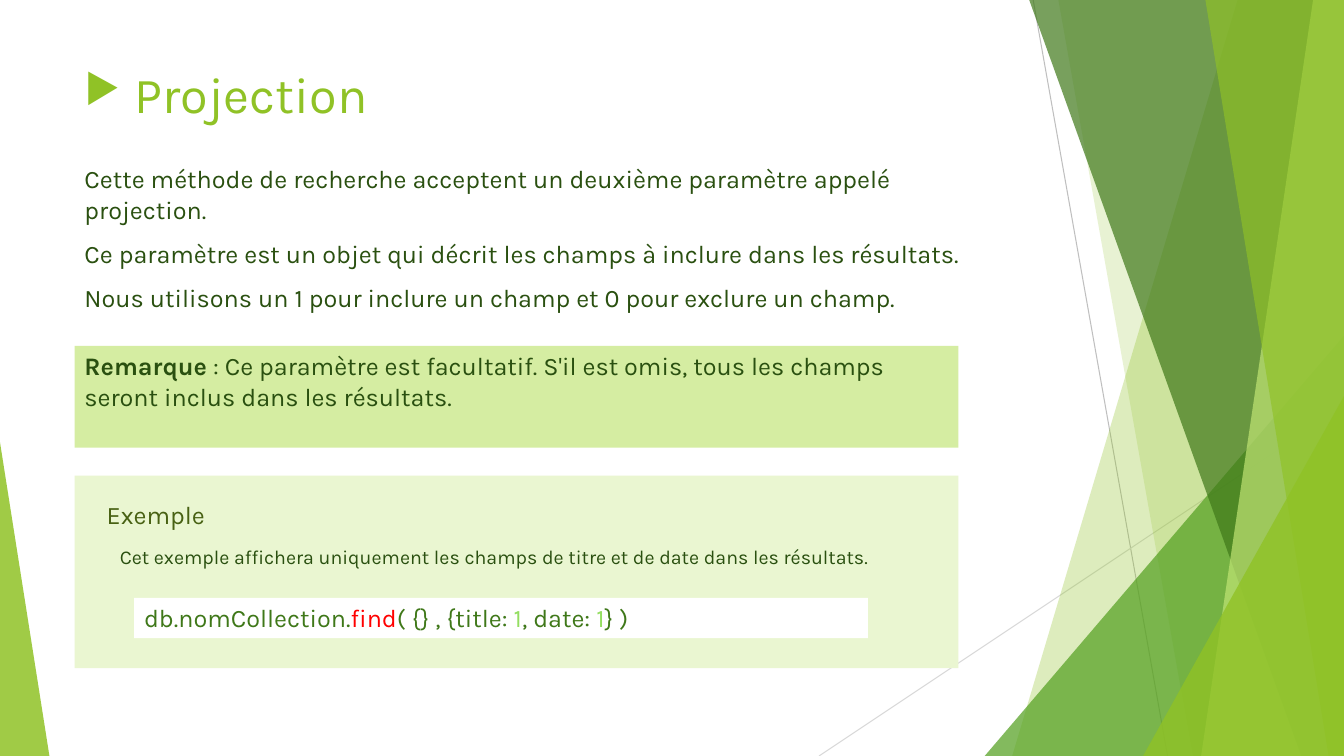
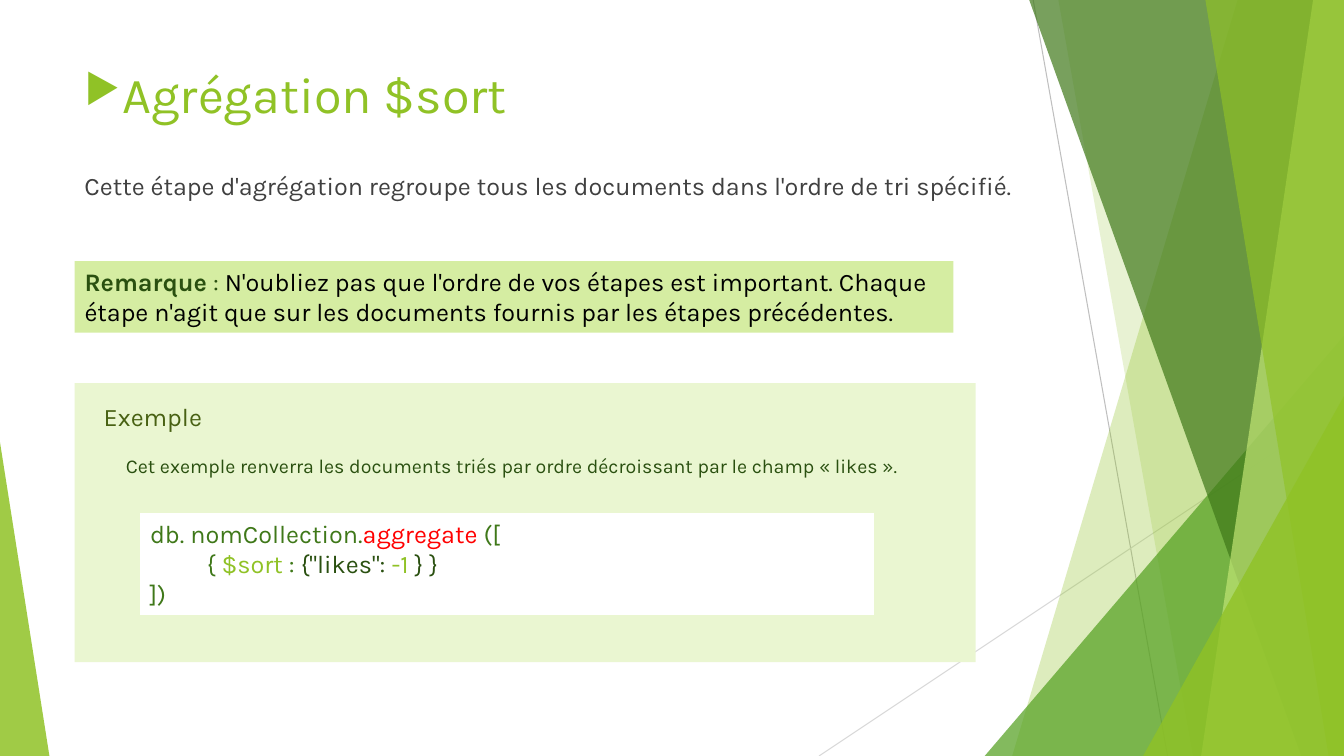
"""Build two slides on document queries: projection and the $sort stage."""
from lxml.etree import SubElement
from pptx import Presentation
from pptx.dml.color import RGBColor
from pptx.enum.shapes import MSO_CONNECTOR as Connector, MSO_SHAPE as Shape
from pptx.enum.text import MSO_ANCHOR as Anchor, MSO_AUTO_SIZE as AutoSize, PP_ALIGN as Align
from pptx.oxml.ns import qn
from pptx.util import Pt

WHITE = RGBColor(0xFF, 0xFF, 0xFF)
BLACK = RGBColor(0, 0, 0)
GREY = RGBColor(0x40, 0x40, 0x40)
RULE_GREY = RGBColor(0xBF, 0xBF, 0xBF)
RULE_LIGHT = RGBColor(0xD9, 0xD9, 0xD9)
LIME = RGBColor(0x90, 0xC2, 0x26)
PALE_LIME = RGBColor(0xC0, 0xE4, 0x74)
LEAF = RGBColor(0x54, 0xA0, 0x21)
FOREST = RGBColor(0x3F, 0x78, 0x19)
DARK = RGBColor(0x2A, 0x50, 0x10)
OLIVE = RGBColor(0x48, 0x61, 0x13)
MINT = RGBColor(0x94, 0xDE, 0x61)
RED = RGBColor(0xFF, 0, 0)
REMARK_FILL = RGBColor(0xD5, 0xED, 0xA2)
PANEL_FILL = RGBColor(0xEA, 0xF6, 0xD1)

WIDTH, HEIGHT = 960, 540
LEFT, TEXT_WIDTH = 53.3, 676.8
CODE_WIDTH = 524.2


class Deck:
    font = "Karla"
    title_size, body_size, caption_size = 36, 18, 14
    bullet_indent = 27

    def __init__(self):
        self.prs = Presentation()
        self.prs.slide_width, self.prs.slide_height = Pt(WIDTH), Pt(HEIGHT)
        self.layout = self.prs.slide_layouts[5]
        for holder in list(self.layout.placeholders):
            if holder.placeholder_format.idx:
                self.layout.shapes.element.remove(holder.element)
        self.slide = None

    def new_slide(self, title):
        self.slide = self.prs.slides.add_slide(self.layout)
        heading = self.slide.shapes.title
        heading.left, heading.top = Pt(LEFT), Pt(41.8)
        heading.width, heading.height = Pt(TEXT_WIDTH), Pt(64.8)
        self.fill_text(heading, [[(title, LIME)]], self.title_size)
        props = heading.text_frame.paragraphs[0]._p.get_or_add_pPr()
        props.set("marL", str(Pt(self.bullet_indent)))
        props.set("indent", str(-Pt(self.bullet_indent)))
        tint = SubElement(props, qn("a:buClr"))
        SubElement(tint, qn("a:srgbClr")).set("val", str(LIME))
        SubElement(props, qn("a:buSzPct")).set("val", "80000")
        SubElement(props, qn("a:buChar")).set("char", "▶")

    def share(self):
        for shape in list(self.slide.shapes):
            if not shape.is_placeholder:
                self.layout.shapes.element.append(shape.element)

    def paint(self, shape, color, opacity=100):
        shape.shadow.inherit = False
        shape.line.fill.background()
        shape.fill.solid()
        shape.fill.fore_color.rgb = color
        if opacity < 100:
            tint = shape.element.spPr.find(qn("a:solidFill"))[0]
            SubElement(tint, qn("a:alpha")).set("val", str(opacity * 1000))

    def rule(self, x1, y1, x2, y2, color):
        line = self.slide.shapes.add_connector(
            Connector.STRAIGHT, Pt(x1), Pt(y1), Pt(x2), Pt(y2))
        line.line.color.rgb = color
        line.line.width = Pt(0.75)
        SubElement(line.element.spPr, qn("a:effectLst"))

    def shard(self, top_x, bottom_x, color, opacity):
        outline = self.slide.shapes.build_freeform(Pt(top_x), Pt(0))
        corners = [(WIDTH, 0), (WIDTH, HEIGHT), (bottom_x, HEIGHT)]
        outline.add_line_segments([(Pt(x), Pt(y)) for x, y in corners])
        self.paint(outline.convert_to_shape(), color, opacity)

    def wedge(self, left, top, width, apex, color, opacity):
        corner = self.slide.shapes.add_shape(
            Shape.ISOSCELES_TRIANGLE, Pt(left), Pt(top), Pt(width), Pt(HEIGHT - top))
        corner.adjustments[0] = apex
        self.paint(corner, color, opacity)

    def panel(self, left, top, width, height, color, paragraphs=()):
        block = self.slide.shapes.add_shape(
            Shape.RECTANGLE, Pt(left), Pt(top), Pt(width), Pt(height))
        self.paint(block, color)
        if paragraphs:
            self.fill_text(block, paragraphs)
        return block

    def text(self, left, top, width, height, paragraphs, size=body_size, before=0):
        box = self.slide.shapes.add_textbox(Pt(left), Pt(top), Pt(width), Pt(height))
        self.fill_text(box, paragraphs, size, before)

    def fill_text(self, shape, paragraphs, size=body_size, before=0):
        frame = shape.text_frame
        frame.word_wrap = True
        frame.auto_size = AutoSize.NONE
        frame.vertical_anchor = Anchor.TOP
        for number, runs in enumerate(paragraphs):
            paragraph = frame.add_paragraph() if number else frame.paragraphs[0]
            paragraph.alignment = Align.LEFT
            paragraph.space_before = Pt(before)
            for words, color, *bold in runs:
                run = paragraph.add_run()
                run.text = words
                run.font.name, run.font.size = self.font, Pt(size)
                run.font.color.rgb = color
                run.font.bold = bool(bold)

    def remark(self, top, width, height, runs):
        self.panel(LEFT, top, width, height, REMARK_FILL,
                   [[("Remarque", DARK, True), *runs]])

    def example(self, top, width, height, label_at, caption_at, caption):
        self.panel(LEFT, top, width, height, PANEL_FILL)
        self.text(*label_at, 104.4, 26.6, [[("Exemple", OLIVE)]])
        self.text(*caption_at, 636.5, 26, [[(caption, DARK)]], self.caption_size)

    def code(self, left, top, height, lines):
        return self.panel(left, top, CODE_WIDTH, height, WHITE, lines)


deck = Deck()

deck.new_slide(" Projection")
deck.rule(738, 0, 834, HEIGHT, RULE_GREY)
deck.rule(WIDTH, 290, 585, HEIGHT, RULE_LIGHT)
deck.shard(884, 723, LIME, 30)
deck.shard(756, 852, LIME, 20)
deck.wedge(703.4, 239.8, 256.6, 1, LEAF, 72)
deck.shard(735.2, 929.5, FOREST, 70)
deck.shard(938, 858, PALE_LIME, 70)
deck.shard(861, 949, LIME, 65)
deck.wedge(816.5, 283, 143.5, 1, LIME, 80)
deck.wedge(0, 316, 35.3, 0, LIME, 85)
deck.share()

deck.text(LEFT, 113.4, TEXT_WIDTH, 122.8, [
    [("Cette méthode de recherche acceptent un deuxième paramètre appelé projection.", DARK)],
    [("Ce paramètre est un objet qui décrit les champs à inclure dans les résultats.", DARK)],
    [("Nous utilisons un 1 pour inclure un champ et 0 pour exclure un champ.", DARK)],
], before=10)
deck.remark(247, 631.4, 72.7, [
    ("\u00a0: Ce paramètre est facultatif. S'il est omis, tous les champs "
     "seront inclus dans les résultats.", DARK)])
deck.example(339.8, 631.4, 137.5, (69.1, 352.8), (78.5, 385.9),
             "Cet exemple affichera uniquement les champs de titre et de date "
             "dans les résultats.")
deck.code(95.8, 427, 28.8, [[
    ("db.nomCollection.", FOREST), ("find", RED), ("( {} , {title: ", FOREST),
    ("1", MINT), (", date: ", FOREST), ("1", MINT), ("} )", FOREST)]])

deck.new_slide("Agrégation $sort")
deck.text(LEFT, 118, TEXT_WIDTH, 60, [
    [("Cette étape d'agrégation regroupe tous les documents dans l'ordre de tri "
      "spécifié.", GREY)]], before=10)
deck.remark(186.5, 627.8, 51.1, [
    ("\u00a0: ", DARK),
    ("N'oubliez pas que l'ordre de vos étapes est important. Chaque étape n'agit "
     "que sur les documents fournis par les étapes précédentes.", BLACK)])
deck.example(273.6, 643.7, 199.4, (67, 283), (82.8, 321),
             "Cet exemple renverra les documents triés par ordre décroissant "
             "par le champ «\u00a0likes\u00a0».")
pipeline = deck.code(100.1, 366.5, 72.7, [
    [("db. nomCollection.", FOREST), ("aggregate ", RED), ("([", FOREST)],
    [("{ ", FOREST), ("$sort", LIME), (" : ", FOREST), ('{"likes": ', DARK),
     ("-1 ", LIME), ("} }", DARK)],
    [("])", FOREST)]])
stage = pipeline.text_frame.paragraphs[1]
stage._p.get_or_add_pPr().set("marL", str(Pt(40.5)))

deck.prs.save("out.pptx")
